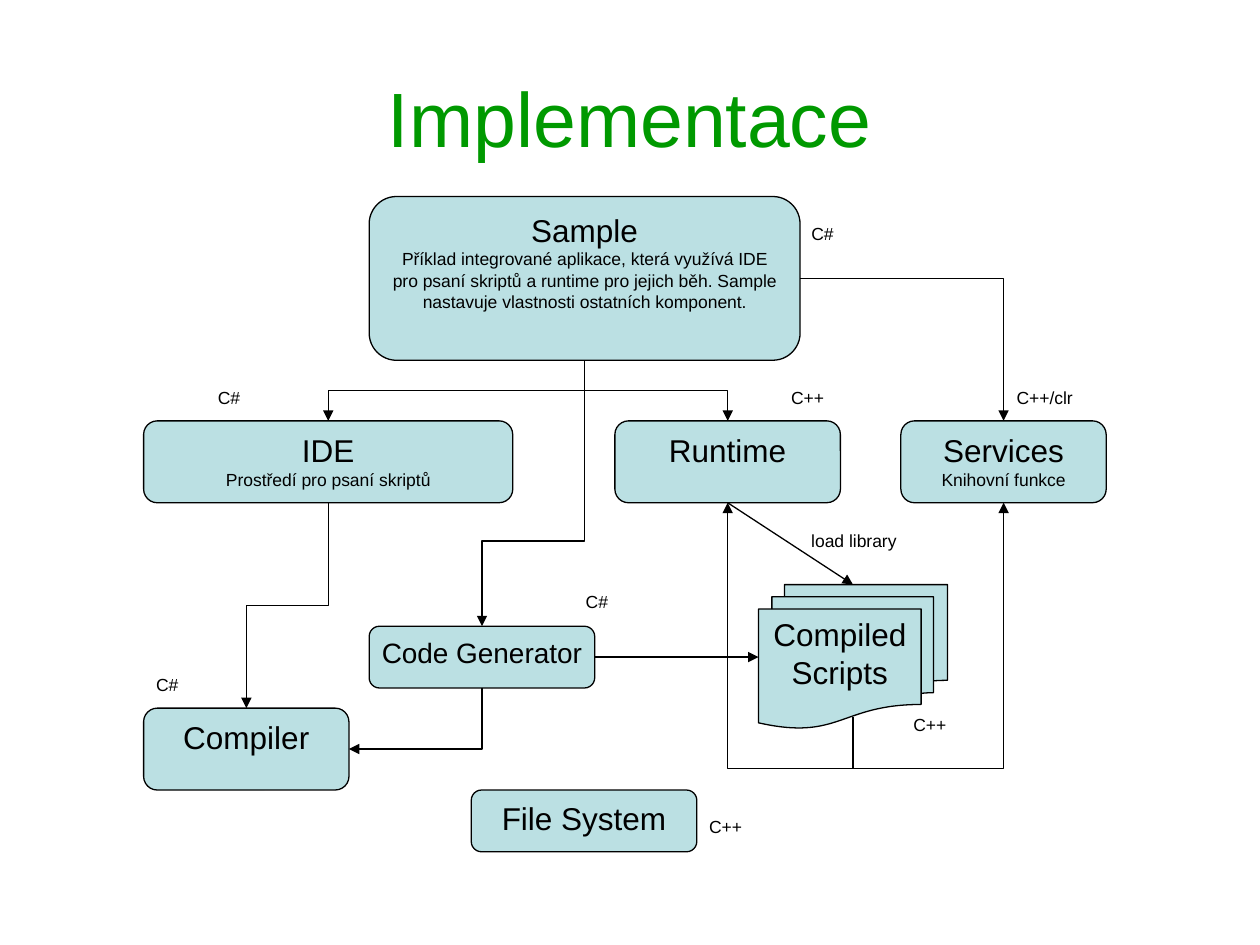
from dataclasses import dataclass
from typing import NamedTuple

from lxml.etree import SubElement
from pptx import Presentation
from pptx.dml.color import RGBColor
from pptx.enum.shapes import MSO_CONNECTOR as Connector, MSO_SHAPE as Shape
from pptx.enum.text import MSO_ANCHOR as Anchor, PP_ALIGN as Align
from pptx.oxml.ns import qn
from pptx.util import Inches, Pt


@dataclass(frozen=True)
class Theme:
    font: str = "Arial"
    ink: RGBColor = RGBColor(0, 0, 0)
    paper: RGBColor = RGBColor(255, 255, 255)
    box_fill: RGBColor = RGBColor(0xBB, 0xE0, 0xE3)
    title_color: RGBColor = RGBColor(0, 0x99, 0)
    title_size: int = 44
    name_size: int = 18
    small_name_size: int = 16
    note_size: int = 10
    line_width: float = 0.75


THEME = Theme()


class Point(NamedTuple):
    x: float
    y: float


@dataclass(frozen=True)
class Box:
    left: float
    top: float
    width: float
    height: float
    name: str
    note: str = ""
    name_size: int = THEME.name_size
    wrap: bool = True
    shape: Shape = Shape.FLOWCHART_ALTERNATE_PROCESS

    def at(self, across: float, down: float) -> Point:
        return Point(self.left + across * self.width, self.top + down * self.height)

    @property
    def north(self) -> Point:
        return self.at(0.5, 0)

    @property
    def south(self) -> Point:
        return self.at(0.5, 1)

    @property
    def east(self) -> Point:
        return self.at(1, 0.5)


class Label(NamedTuple):
    left: float
    top: float
    text: str
    width: float = 0.65


class Link(NamedTuple):
    """An elbow arrow; bend is where it turns, None for a single corner."""
    start: Point
    end: Point
    bend: float | None = 0.5
    down_first: bool = True


SAMPLE = Box(2.93, 1.56, 3.42, 1.3, "Sample",
             "Příklad integrované aplikace, která využívá IDE pro psaní skriptů a runtime "
             "pro jejich běh. Sample nastavuje vlastnosti ostatních komponent.")
IDE = Box(1.14, 3.34, 2.93, 0.65, "IDE", "Prostředí pro psaní skriptů")
COMPILER = Box(1.14, 5.62, 1.63, 0.65, "Compiler")
GENERATOR = Box(2.93, 4.97, 1.79, 0.49, "Code Generator",
                name_size=THEME.small_name_size, wrap=False)
RUNTIME = Box(4.88, 3.34, 1.79, 0.65, "Runtime")
SERVICES = Box(7.15, 3.34, 1.63, 0.65, "Services", "Knihovní funkce")
SCRIPTS = Box(6.02, 4.64, 1.5, 1.14, "Compiled Scripts", shape=Shape.FLOWCHART_MULTIDOCUMENT)
FILES = Box(3.74, 6.27, 1.79, 0.49, "File System")
BOXES = [SAMPLE, IDE, COMPILER, GENERATOR, RUNTIME, SERVICES, SCRIPTS, FILES]

LABELS = [
    Label(6.34, 4.16, "load library", 1.3),
    Label(6.18, 3.02, "C++"),
    Label(6.34, 1.72, "C#"),
    Label(1.14, 5.3, "C#"),
    Label(4.55, 4.64, "C#"),
    Label(1.63, 3.02, "C#"),
    Label(7.15, 5.62, "C++"),
    Label(7.97, 3.02, "C++/clr", 0.97),
    Label(5.53, 6.43, "C++"),
]

SCRIPTS_NORTH = Point(6.77, SCRIPTS.top)
SCRIPTS_SOUTH = Point(6.77, 5.69)  # the wavy lower edge lies above the frame
LINKS = [
    Link(SAMPLE.south, IDE.north),
    Link(SAMPLE.south, RUNTIME.north),
    Link(IDE.south, COMPILER.north),
    Link(GENERATOR.south, COMPILER.east, bend=None),
    Link(SAMPLE.east, SERVICES.north, bend=None, down_first=False),
    Link(SCRIPTS_SOUTH, RUNTIME.south, bend=-0.24),
    Link(SCRIPTS_SOUTH, SERVICES.south, bend=-0.24),
    Link(SAMPLE.south, GENERATOR.north, bend=0.68),
]
ARROWS = [
    (GENERATOR.east, Point(SCRIPTS.left, GENERATOR.east.y)),
    (RUNTIME.south, SCRIPTS_NORTH),
]


def write(para, text: str, size: int, color: RGBColor, align: Align) -> None:
    para.text = text
    para.alignment = align
    para.font.name = THEME.font
    para.font.size = Pt(size)
    para.font.color.rgb = color


def draw_title(page, text: str) -> None:
    frame = page.shapes.add_textbox(Inches(0.5), Inches(0.3), Inches(9), Inches(1.25)).text_frame
    frame.word_wrap = True
    frame.vertical_anchor = Anchor.MIDDLE
    write(frame.paragraphs[0], text, THEME.title_size, THEME.title_color, Align.CENTER)


def add_panel(page, kind: Shape, left: float, top: float, width: float, height: float,
              fill: RGBColor):
    panel = page.shapes.add_shape(kind, Inches(left), Inches(top), Inches(width), Inches(height))
    panel.shadow.inherit = False
    panel.fill.solid()
    panel.fill.fore_color.rgb = fill
    panel.text_frame.vertical_anchor = Anchor.TOP
    panel.text_frame.word_wrap = True
    return panel


def draw_label(page, label: Label) -> None:
    panel = add_panel(page, Shape.RECTANGLE, label.left, label.top, label.width, 0.32, THEME.paper)
    panel.line.fill.background()
    write(panel.text_frame.paragraphs[0], label.text, THEME.note_size, THEME.ink, Align.LEFT)


def draw_box(page, box: Box) -> None:
    panel = add_panel(page, box.shape, box.left, box.top, box.width, box.height, THEME.box_fill)
    panel.line.color.rgb = THEME.ink
    panel.line.width = Pt(THEME.line_width)
    frame = panel.text_frame
    frame.word_wrap = box.wrap
    write(frame.paragraphs[0], box.name, box.name_size, THEME.ink, Align.CENTER)
    if box.note:
        write(frame.add_paragraph(), box.note, THEME.note_size, THEME.ink, Align.CENTER)


def draw_arrow(page, start: Point, end: Point, kind: Connector = Connector.STRAIGHT):
    arrow = page.shapes.add_connector(kind, *(Inches(value) for value in (*start, *end)))
    arrow.line.color.rgb = THEME.ink
    arrow.line.width = Pt(THEME.line_width)
    properties = arrow._element.spPr
    SubElement(properties.find(qn("a:ln")), qn("a:tailEnd"), type="triangle")
    SubElement(properties, qn("a:effectLst"))
    return arrow


def draw_link(page, link: Link) -> None:
    """Draw an elbow; one that leaves vertically is a level elbow turned a quarter."""
    start, end, turn = link.start, link.end, 0
    if link.down_first:
        dx, dy = end.x - start.x, end.y - start.y
        turn = 270 if dx * dy > 0 else 90
        sign = 1 if turn == 90 else -1
        middle = Point((start.x + end.x) / 2, (start.y + end.y) / 2)
        half = Point(sign * dy / 2, -sign * dx / 2)
        start = Point(middle.x - half.x, middle.y - half.y)
        end = Point(middle.x + half.x, middle.y + half.y)
    properties = draw_arrow(page, start, end, Connector.ELBOW)._element.spPr
    if turn:
        properties.find(qn("a:xfrm")).set("rot", str(turn * 60000))
    geometry = properties.find(qn("a:prstGeom"))
    if link.bend is None:
        geometry.set("prst", "bentConnector2")
    else:
        SubElement(geometry.find(qn("a:avLst")), qn("a:gd"), name="adj1",
                   fmla=f"val {round(link.bend * 100000)}")


def main() -> None:
    deck = Presentation()
    deck.slide_width, deck.slide_height = Inches(10), Inches(7.5)
    page = deck.slides.add_slide(deck.slide_layouts[6])
    draw_title(page, "Implementace")
    for label in LABELS:
        draw_label(page, label)
    for box in BOXES:
        draw_box(page, box)
    for link in LINKS:
        draw_link(page, link)
    for start, end in ARROWS:
        draw_arrow(page, start, end)
    deck.save("out.pptx")


if __name__ == "__main__":
    main()
